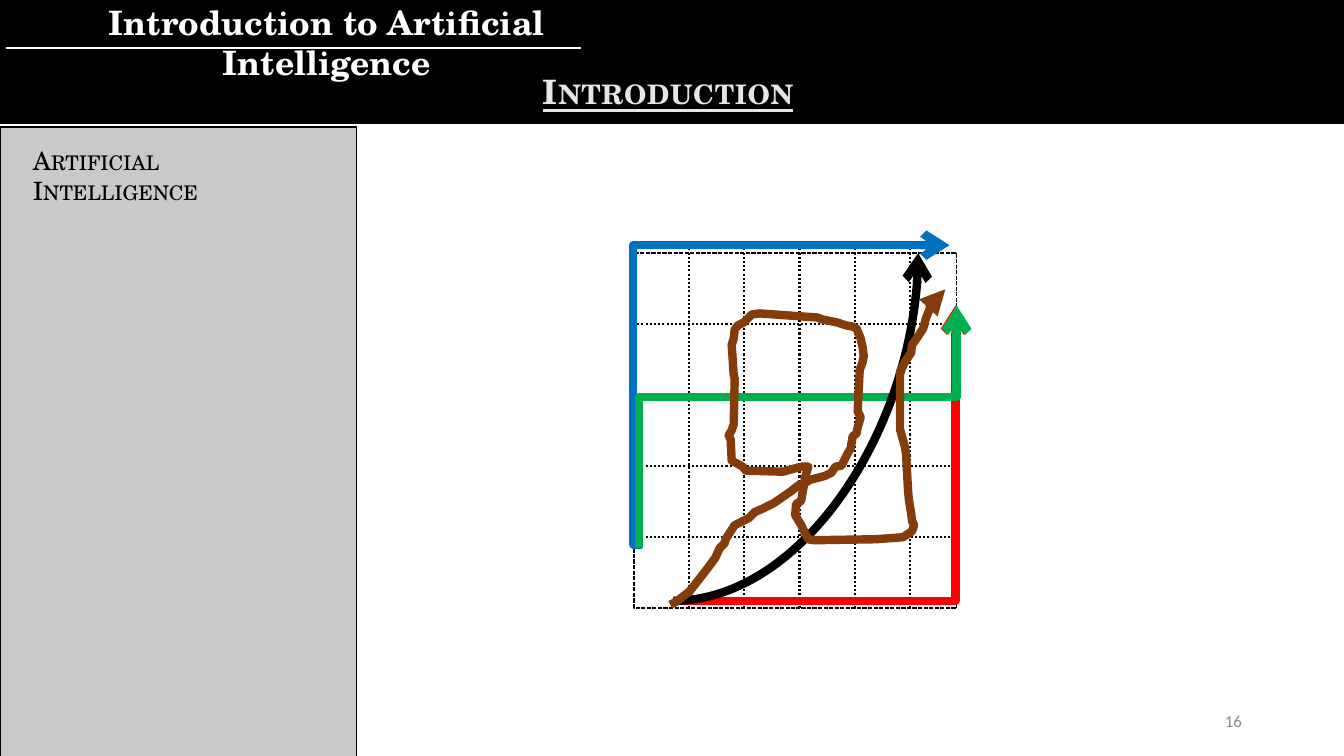
from pptx import Presentation
from pptx.dml.color import RGBColor as RGB
from pptx.enum.dml import MSO_LINE as DASH
from pptx.enum.shapes import MSO_CONNECTOR as CONN, MSO_SHAPE as SHAPE
from pptx.enum.text import MSO_ANCHOR as ANCHOR, MSO_AUTO_SIZE as AUTO, PP_ALIGN as ALIGN
from pptx.oxml.ns import qn
from pptx.util import Cm, Pt
from lxml.etree import SubElement

COLORS = {
    "black": "000000", "white": "FFFFFF", "pale": "E7E6E6", "panel": "C9C9C9",
    "red": "FF0000", "blue": "0070C0", "green": "00B050", "brown": "843C0B",
    "number": "8C8C8C",
}
SERIF = "TeX Gyre Schola"

ARROWS = [
    ("red", CONN.ELBOW, "bentConnector2", (0.99, 8.76), (8.1, 1.32), None, 0),
    ("blue", CONN.ELBOW, "bentConnector3", (0.2, 7.34), (7.95, -0.2), -2900, 0),
    ("green", CONN.ELBOW, "bentConnector3", (7.19, 8.38), (1.07, 0.38), 62400, 90),
    ("black", CONN.CURVE, "curvedConnector2", (0.99, 8.76), (7.16, 0), None, 0),
]

SCRIBBLE = [
    (65, 400), (71, 397), (80, 390), (84, 387), (95, 373), (105, 360), (110, 353),
    (114, 344), (119, 339), (120, 335), (129, 321), (143, 314), (149, 308), (156, 305),
    (168, 299), (184, 288), (193, 281), (199, 279), (204, 276), (208, 275), (219, 272),
    (225, 269), (229, 263), (235, 262), (241, 250), (244, 245), (246, 233), (250, 230),
    (251, 224), (254, 214), (251, 208), (253, 167), (256, 159), (257, 153), (256, 145),
    (254, 136), (250, 126), (246, 124), (240, 123), (231, 120), (216, 117), (211, 115),
    (196, 114), (154, 111), (146, 112), (138, 120), (132, 123), (129, 127), (128, 136),
    (126, 142), (128, 172), (129, 176), (128, 221), (126, 227), (123, 232), (125, 236),
    (126, 257), (137, 263), (140, 267), (177, 268), (195, 263), (202, 263), (199, 273),
    (195, 297), (190, 300), (189, 311), (195, 321), (202, 335), (207, 336), (269, 335),
    (296, 333), (305, 327), (307, 321), (305, 317), (304, 309), (302, 297), (301, 287),
    (299, 250), (298, 244), (293, 226), (293, 169), (298, 159), (304, 150), (305, 142),
    (308, 138), (316, 126), (319, 115), (322, 108), (325, 93), (329, 91), (338, 87),
]


def color(name):
    return RGB.from_string(COLORS[name])


def set_line(s, name, width, dash=None, tail=None):
    s.line.color.rgb = color(name)
    s.line.width = Pt(width)
    if dash:
        s.line.dash_style = dash
    if tail:
        ln = s._element.spPr.find(qn("a:ln"))
        SubElement(ln, qn("a:tailEnd"), type=tail)


def add_box(shapes, box, fill, dash=None):
    sp = shapes.add_shape(SHAPE.RECTANGLE, *map(Cm, box))
    sp.shadow.inherit = False
    sp.fill.solid()
    sp.fill.fore_color.rgb = color(fill)
    set_line(sp, "black", 1, dash)


def add_line(shapes, start, end, name, width, kind=CONN.STRAIGHT, dash=None, tail=None):
    c = shapes.add_connector(kind, *map(Cm, start + end))
    set_line(c, name, width, dash, tail)
    SubElement(c._element.spPr, qn("a:effectLst"))
    return c


def add_text(shapes, box, text, name, fmt, align=ALIGN.LEFT, caps=False):
    s = shapes.add_textbox(*map(Cm, box))
    tf = s.text_frame
    tf.word_wrap = True
    p = tf.paragraphs[0]
    p.alignment = align
    r = p.add_run()
    r.text = text
    for key, value in fmt.items():
        setattr(r.font, key, value)
    r.font.color.rgb = color(name)
    if caps:
        r.font._element.set("cap", "small")
    return s


def header(shapes, left, top, width, height):
    fmt = {"size": Pt(24), "name": SERIF, "bold": True}
    add_box(shapes, (left, top, width, height), "black")
    s = add_text(shapes, (left + 0.03, top + 1.65, 33.83, 1.27), "Introduction", "pale",
                 {**fmt, "underline": True}, ALIGN.CENTER, caps=True)
    s.text_frame.paragraphs[0].runs[0].font._element.set("spc", "50")
    add_line(shapes, (left + 0.15, top + 1.22), (left + 14.63, top + 1.22), "white", 1.5)
    add_text(shapes, (left - 0.2, top - 0.08, 16.87, 1.27),
             "Introduction to Artificial Intelligence", "white", fmt, ALIGN.CENTER)


def sidebar(shapes, left, top, width, height):
    add_box(shapes, (left, top, width, height), "panel")
    add_text(shapes, (left + 0.58, top + 0.33, 7.54, 1.02), "Artificial Intelligence",
             "black", {"size": Pt(18), "name": SERIF}, caps=True)


def route_grid(shapes, left, top, width, height):
    add_box(shapes, (left, top, width, height), "white", DASH.SQUARE_DOT)
    dots = {"name": "black", "width": 1.5, "dash": DASH.ROUND_DOT}
    for row in range(4, 0, -1):
        y = top + row * 1.79
        add_line(shapes, (left - 0.03, y), (left + width + 0.05, y), **dots)
    for col in range(1, 6):
        x = left + col * 1.39
        add_line(shapes, (x, top + height), (x, top - 0.2), **dots)

    for name, kind, preset, (x1, y1), (x2, y2), adjust, turn in ARROWS:
        c = add_line(shapes, (left + x1, top + y1), (left + x2, top + y2),
                     name, 6, kind, tail="arrow")
        geom = c._element.spPr.find(qn("a:prstGeom"))
        geom.set("prst", preset)
        if adjust:
            guides = geom.find(qn("a:avLst"))
            SubElement(guides, qn("a:gd"), name="adj1", fmla=f"val {adjust}")
        if turn:
            c._element.spPr.find(qn("a:xfrm")).set("rot", str(turn * 60000))

    fb = shapes.build_freeform(*SCRIBBLE[0], scale=Cm(0.0254))
    fb.add_line_segments(SCRIBBLE[1:], close=False)
    sp = fb.convert_to_shape(Cm(left - 0.74), Cm(top - 1.3))
    sp.shadow.inherit = False
    sp.fill.background()
    set_line(sp, "brown", 6, tail="triangle")


def page_number(shapes, *box):
    s = add_text(shapes, box, "16", "number", {"size": Pt(12), "name": "Calibri"}, ALIGN.RIGHT)
    s.text_frame.auto_size = AUTO.NONE
    s.text_frame.vertical_anchor = ANCHOR.MIDDLE


def main():
    prs = Presentation()
    prs.slide_width, prs.slide_height = Cm(33.87), Cm(19.05)
    shapes = prs.slides.add_slide(prs.slide_layouts[6]).shapes
    header(shapes, 0, 0, 33.91, 3.1)
    sidebar(shapes, 0, 3.2, 8.99, 15.9)
    route_grid(shapes, 15.98, 6.38, 8.13, 8.94)
    page_number(shapes, 23.93, 17.65, 7.62, 1.02)
    prs.save("out.pptx")


if __name__ == "__main__":
    main()
